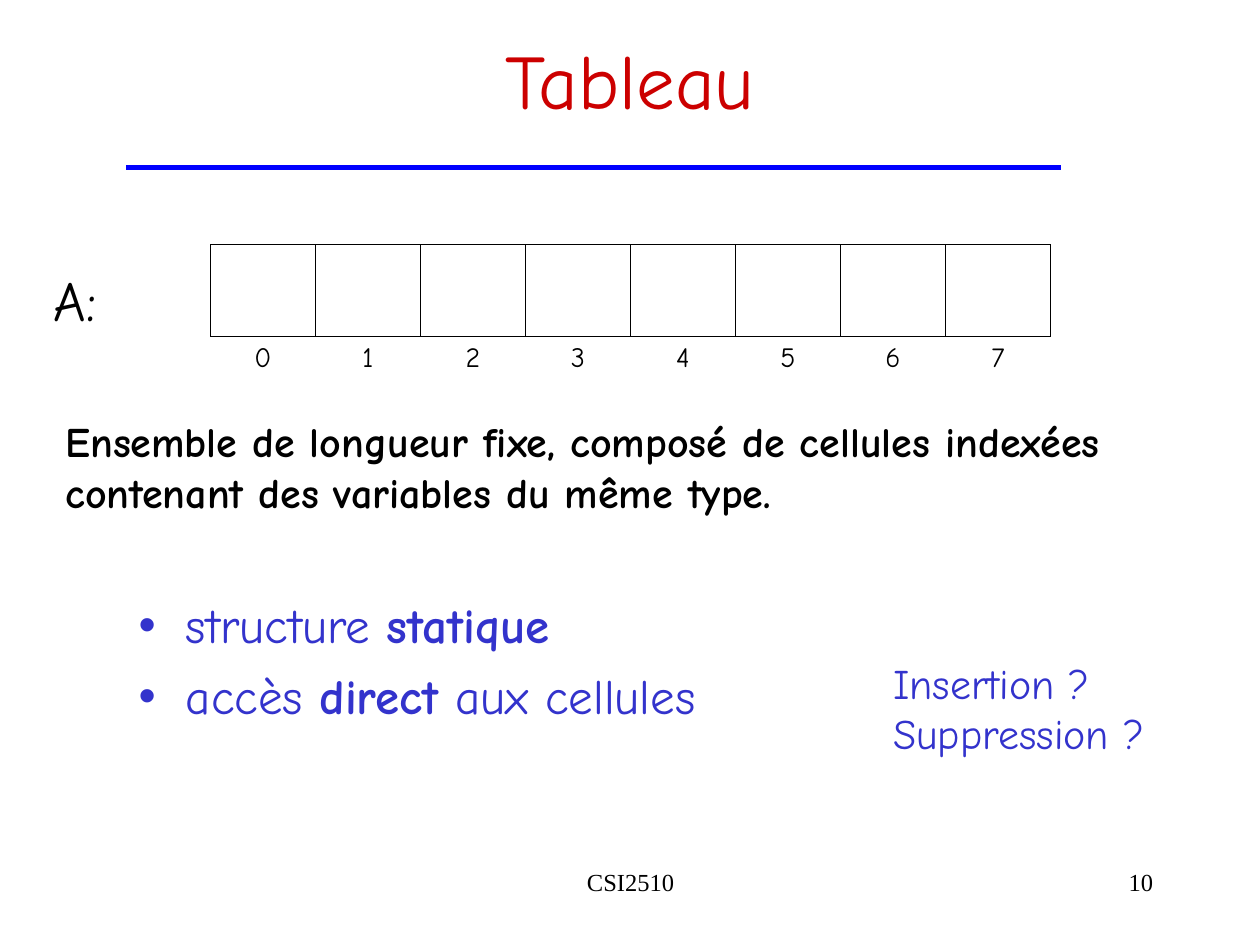
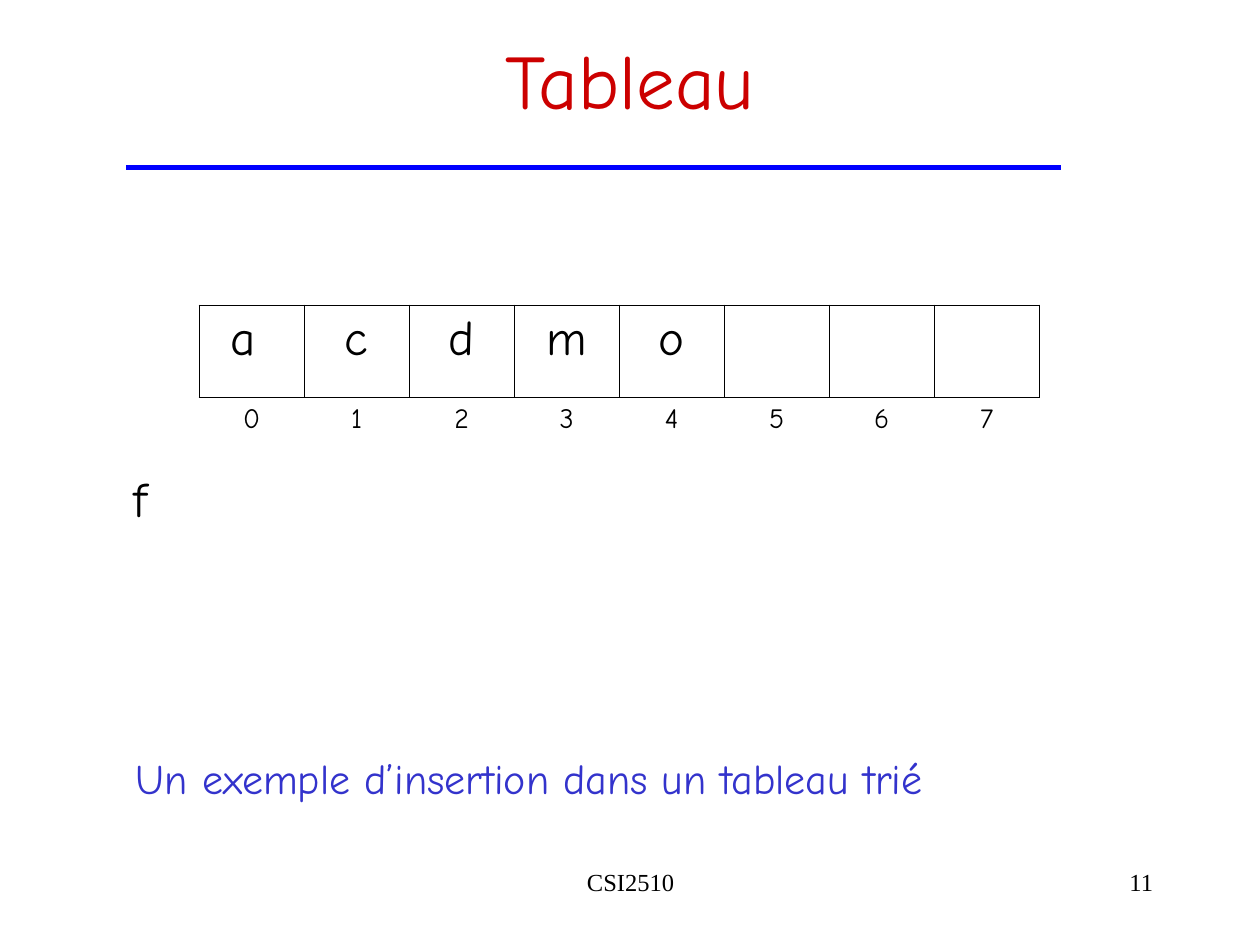
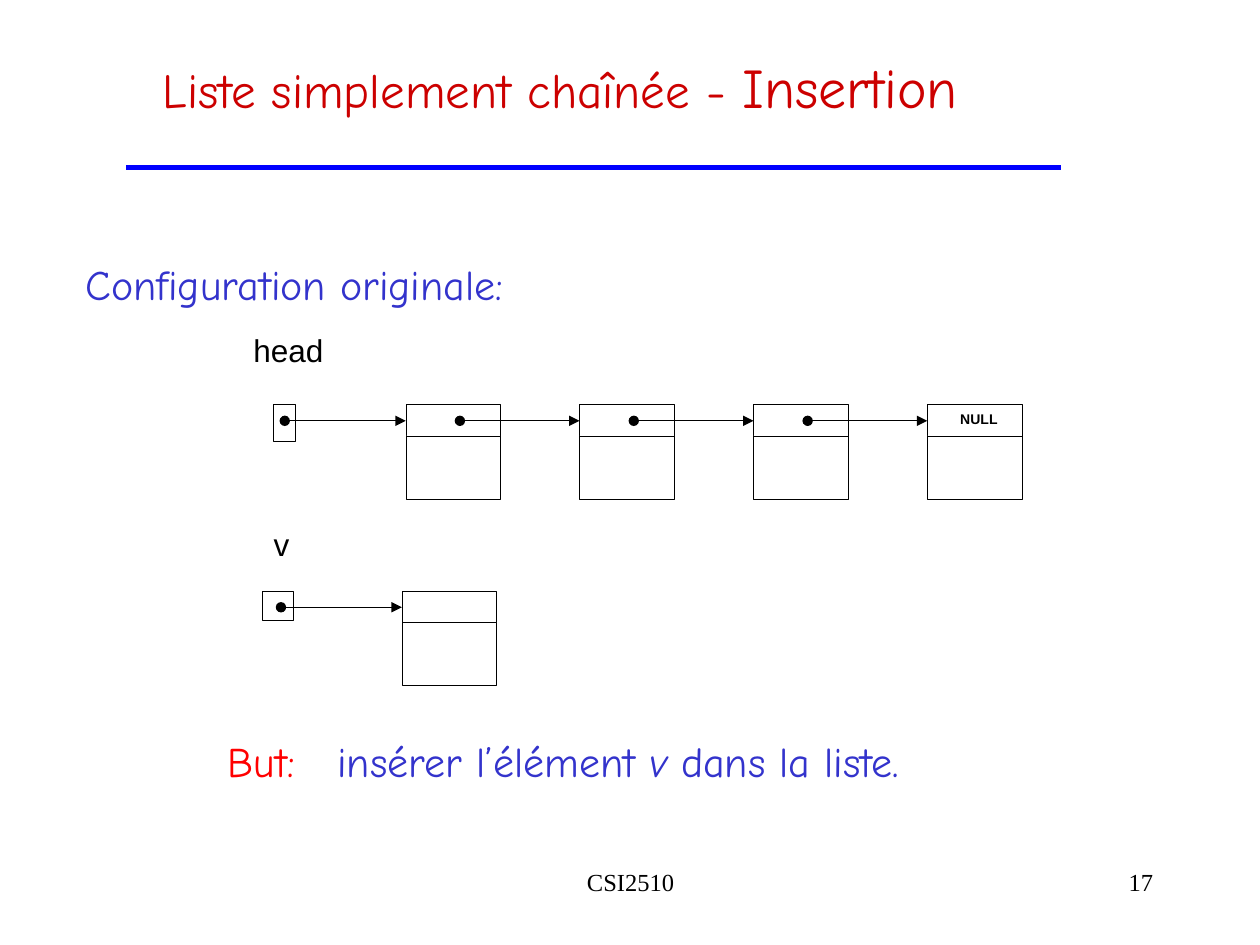
from lxml import etree
from pptx import Presentation
from pptx.dml.color import RGBColor
from pptx.enum.shapes import MSO_CONNECTOR, MSO_SHAPE
from pptx.enum.text import MSO_ANCHOR, PP_ALIGN
from pptx.oxml.ns import qn
from pptx.util import Inches, Pt

LEFT, CENTER, RIGHT = PP_ALIGN.LEFT, PP_ALIGN.CENTER, PP_ALIGN.RIGHT
MIDDLE = MSO_ANCHOR.MIDDLE
RECTANGLE = MSO_SHAPE.RECTANGLE
STRAIGHT = MSO_CONNECTOR.STRAIGHT

BLACK, WHITE = "000000", "FFFFFF"
TITLE_RED, RED = "CC0000", "FF0000"
TEXT_BLUE, RULE_BLUE = "3333CC", "0000FF"
COMIC, ARIAL, TIMES = "Comic Neue", "Arial", "Times New Roman"
BODY_LAYOUT, TITLE_LAYOUT = 1, 5

TITLE_BOX = (0.75, 0, 8.5, 1.25)
CELL_COUNT, ARRAY_WIDTH = 8, 6.67
VALUE_HEIGHT, INDEX_HEIGHT = 0.73, 0.37
NODE_WIDTH, LINK_HEIGHT, DATA_HEIGHT = 0.75, 0.25, 0.5
NODE_PITCH, DOT_OFFSET = 1.38, 0.43


def color(value):
    return RGBColor.from_string(value)


def inches(*lengths):
    return [Inches(length) for length in lengths]


def style(size, fill=BLACK, name=COMIC, **extra):
    return {"size": Pt(size), "name": name, "fill": fill, **extra}


def add_spans(para, spans, base):
    """Add (text, overrides) pairs, or one plain string, in the base style."""
    if isinstance(spans, str):
        spans = [(spans, {})]
    for text, overrides in spans:
        span = para.add_run()
        span.text = text
        values = {**base, **overrides}
        span.font.color.rgb = color(values.pop("fill"))
        for key, value in values.items():
            setattr(span.font, key, value)


def write(frame, lines, base, align=LEFT, before=0):
    for number, spans in enumerate(lines):
        para = frame.add_paragraph() if number else frame.paragraphs[0]
        para.alignment = align
        para.space_before = Pt(before)
        add_spans(para, spans, base)


def add_text(page, place, lines, base, align=LEFT, before=0, wrap=True, inset=True):
    frame = page.shapes.add_textbox(*inches(*place)).text_frame
    frame.word_wrap = wrap
    if not inset:
        for side in ("left", "right", "top", "bottom"):
            setattr(frame, f"margin_{side}", 0)
    write(frame, lines, base, align, before)
    return frame


def fill_placeholder(holder, place, lines, base, **layout):
    for key, value in zip(("left", "top", "width", "height"), inches(*place)):
        setattr(holder, key, value)
    write(holder.text_frame, lines, base, **layout)


def add_line(page, start, end, fill, width):
    line = page.shapes.add_connector(STRAIGHT, *inches(*start, *end))
    line.line.color.rgb = color(fill)
    line.line.width = Pt(width)
    etree.SubElement(line._element.spPr, qn("a:effectLst"))
    return line


def add_pointer(page, start, end):
    """Draw an arrow that begins with a dot."""
    outline = add_line(page, start, end, BLACK, 0.75).line._get_or_add_ln()
    for tag, kind in (("a:headEnd", "oval"), ("a:tailEnd", "triangle")):
        etree.SubElement(outline, qn(tag), type=kind, w="med", len="med")


def add_box(page, *place):
    box = page.shapes.add_shape(RECTANGLE, *inches(*place))
    box.shadow.inherit = False
    box.fill.solid()
    box.fill.fore_color.rgb = color(WHITE)
    box.line.color.rgb = color(BLACK)
    box.line.width = Pt(0.25)


def add_node(page, left, top):
    add_box(page, left, top, NODE_WIDTH, LINK_HEIGHT)
    add_box(page, left, top + LINK_HEIGHT, NODE_WIDTH, DATA_HEIGHT)


def set_borders(cell, visible):
    properties = cell._tc.get_or_add_tcPr()
    for position, side in enumerate("LRTB"):
        border = etree.Element(qn(f"a:ln{side}"), w=str(Pt(0.45)))
        if side in visible:
            solid = etree.SubElement(border, qn("a:solidFill"))
            etree.SubElement(solid, qn("a:srgbClr"), val=BLACK)
        else:
            etree.SubElement(border, qn("a:noFill"))
        properties.insert(position, border)


def add_array(page, left, top, values=()):
    """Draw a row of bordered cells with their indices below."""
    place = inches(left, top, ARRAY_WIDTH, VALUE_HEIGHT + INDEX_HEIGHT)
    table = page.shapes.add_table(2, CELL_COUNT, *place).table
    table.first_row = table.horz_banding = False
    indices = [str(index) for index in range(CELL_COUNT)]
    rows = (
        (VALUE_HEIGHT, values, style(28), 7, "LRTB"),
        (INDEX_HEIGHT, indices, style(16), 4, "T"),
    )
    for number, (height, texts, base, before, borders) in enumerate(rows):
        table.rows[number].height = Inches(height)
        for column in range(CELL_COUNT):
            cell = table.cell(number, column)
            cell.fill.background()
            set_borders(cell, borders)
            if column < len(texts):
                write(cell.text_frame, [texts[column]], base, CENTER, before)


def add_page(deck, number, title, layout=TITLE_LAYOUT, title_box=TITLE_BOX,
             title_size=44, title_align=CENTER):
    page = deck.slides.add_slide(deck.slide_layouts[layout])
    heading = page.shapes.title
    fill_placeholder(heading, title_box, [title], style(title_size, TITLE_RED),
                     align=title_align)
    heading.text_frame.vertical_anchor = MIDDLE
    add_line(page, (1, 1.33), (8.42, 1.33), RULE_BLUE, 3.25)
    footer = style(14, name=TIMES)
    add_text(page, (3.42, 6.83, 3.17, 0.5), ["CSI2510"], footer, CENTER)
    add_text(page, (7.17, 6.83, 2.08, 0.5), [str(number)], footer, RIGHT)
    return page


def build_array_page(deck):
    page = add_page(deck, 10, "Tableau", BODY_LAYOUT)
    bold = {"bold": True}
    properties = [
        [("structure ", {}), ("statique", bold)],
        [("accès ", {}), ("direct ", bold), ("aux cellules", {})],
    ]
    fill_placeholder(page.placeholders[1], (1, 4.67, 8.5, 2.36), properties,
                     style(28, TEXT_BLUE), before=7)
    definition = ("Ensemble de longueur fixe, composé de cellules indexées "
                  "contenant des variables du même type.")
    add_text(page, (0.42, 3.25, 9.25, 0.9), [definition],
             style(24, bold=True), before=15)
    add_text(page, (0.33, 2.06, 1.6, 0.64), ["A:"], style(32), before=20)
    add_array(page, 1.67, 1.94)
    add_text(page, (6.99, 5.17, 2.2, 0.9), ["Insertion ?", "Suppression ?"],
             style(24, TEXT_BLUE), wrap=False)


def build_sorted_array_page(deck):
    page = add_page(deck, 11, "Tableau")
    add_array(page, 1.58, 2.42, ["a ", "c", "d", "m", "o"])
    add_text(page, (0.96, 3.67, 0.31, 0.57), ["f"], style(28), wrap=False)
    add_text(page, (0.98, 5.92, 6.46, 0.5),
             ["Un exemple d’insertion dans un tableau trié"],
             style(24, TEXT_BLUE), wrap=False)


def build_linked_list_page(deck):
    title = [("Liste simplement chaînée - ", {}), ("Insertion", {"size": Pt(32)})]
    page = add_page(deck, 17, title, title_box=(1.19, 0.36, 6.67, 0.64),
                    title_size=28, title_align=LEFT)
    blue = style(24, TEXT_BLUE)
    add_text(page, (0.58, 2, 6.62, 0.5), ["Configuration originale:"], blue, before=15)
    goal = [("But:", {"fill": RED}), ("\tinsérer l’élément ", {}),
            ("v", {"italic": True}), (" dans la liste.", {})]
    frame = add_text(page, (1.71, 5.79, 7.04, 0.5), [goal], blue, before=15)
    tabs = etree.SubElement(frame.paragraphs[0]._p.get_or_add_pPr(), qn("a:tabLst"))
    etree.SubElement(tabs, qn("a:tab"), pos=str(Inches(0.87)), algn="l")

    label = style(18, name=ARIAL)
    for text, place in (("head", (2.01, 2.63, 0.56, 0.3)), ("v", (2.17, 4.17, 0.13, 0.3))):
        add_text(page, place, [text], label, CENTER, 11.2, wrap=False, inset=False)

    nodes = [3.22 + NODE_PITCH * index for index in range(4)]
    add_box(page, 2.17, 3.21, 0.17, 0.29)
    for left in nodes:
        add_node(page, left, 3.21)
    dots = [2.26] + [left + DOT_OFFSET for left in nodes[:-1]]
    for dot, left in zip(dots, nodes):
        add_pointer(page, (dot, 3.34), (left, 3.34))
    add_text(page, (7.62, 3.26, 0.3, 0.13), ["NULL"],
             style(8, name=ARIAL, bold=True), CENTER, 5, wrap=False, inset=False)

    add_box(page, 2.08, 4.69, 0.25, 0.23)
    add_node(page, 3.19, 4.69)
    add_pointer(page, (2.23, 4.82), (3.19, 4.82))


def main():
    deck = Presentation()
    deck.slide_width, deck.slide_height = inches(10, 7.5)
    build_array_page(deck)
    build_sorted_array_page(deck)
    build_linked_list_page(deck)
    deck.save("out.pptx")


if __name__ == "__main__":
    main()
